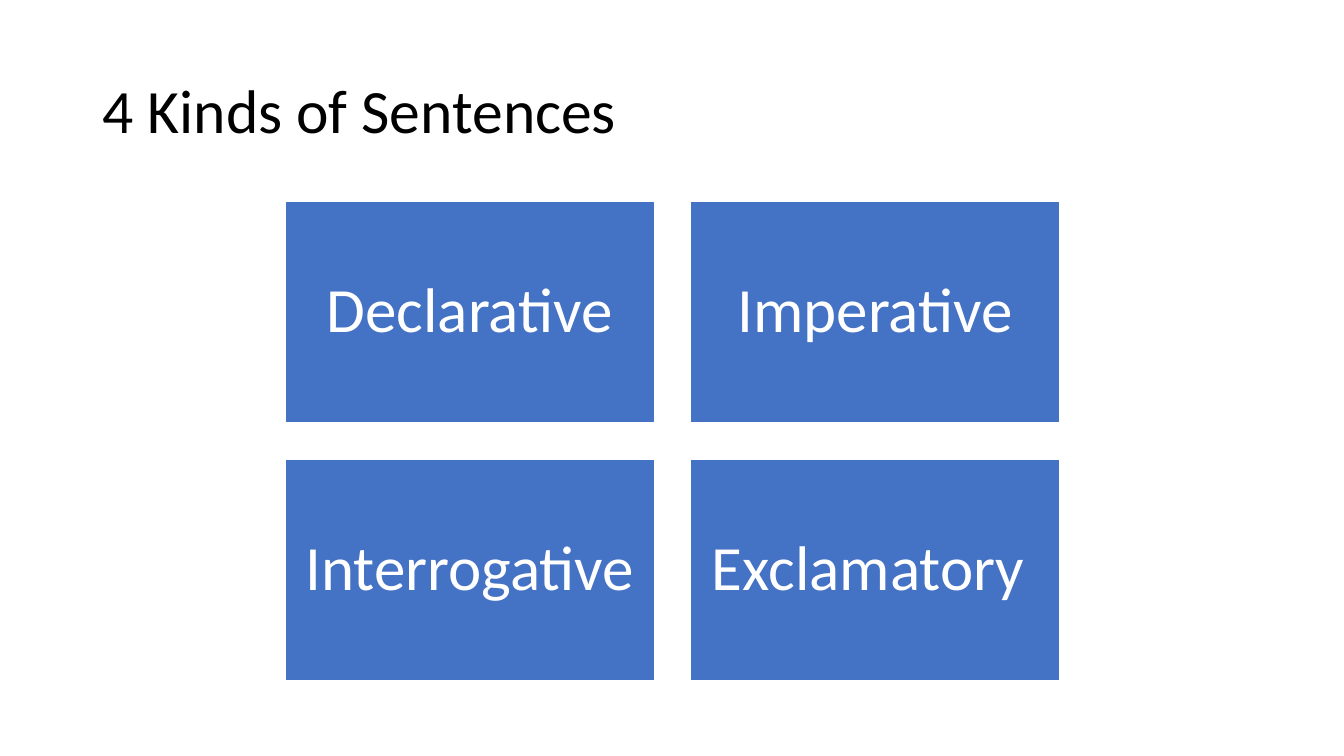
from dataclasses import dataclass

from pptx import Presentation
from pptx.dml.color import RGBColor
from pptx.enum.shapes import MSO_SHAPE
from pptx.enum.text import MSO_ANCHOR, PP_ALIGN
from pptx.util import Inches, Pt

RECTANGLE = MSO_SHAPE.RECTANGLE
MIDDLE = MSO_ANCHOR.MIDDLE
LEFT, CENTER = PP_ALIGN.LEFT, PP_ALIGN.CENTER


@dataclass(frozen=True)
class Theme:
    font: str = "Calibri"
    ink: RGBColor = RGBColor(0x00, 0x00, 0x00)
    paper: RGBColor = RGBColor(0xFF, 0xFF, 0xFF)
    tile: RGBColor = RGBColor(0x44, 0x72, 0xC4)
    title_size: int = 44
    tile_size: int = 45
    outline: int = 1


@dataclass(frozen=True)
class Tile:
    label: str
    column: int
    row: int


THEME = Theme()
COLUMNS = 2
GRID_LEFT, GRID_TOP = 2.83, 2.0
TILE_WIDTH, TILE_HEIGHT = 3.66, 2.19
GAP_X, GAP_Y = 0.36, 0.37
LABELS = ["Declarative", "Imperative", "Interrogative", "Exclamatory "]
TILES = [Tile(label, index % COLUMNS, index // COLUMNS)
         for index, label in enumerate(LABELS)]


def write_text(box, text: str, *, size: int, color: RGBColor,
               align: PP_ALIGN, inset_x: float, inset_y: float) -> None:
    frame = box.text_frame
    frame.word_wrap = True
    frame.vertical_anchor = MIDDLE
    frame.margin_left = frame.margin_right = Inches(inset_x)
    frame.margin_top = frame.margin_bottom = Inches(inset_y)
    para = frame.paragraphs[0]
    para.alignment = align
    para.line_spacing = 0.9
    span = para.add_run()
    span.text = text
    span.font.name = THEME.font
    span.font.size = Pt(size)
    span.font.color.rgb = color


def draw_title(page, text: str) -> None:
    box = page.shapes.add_textbox(Inches(0.92), Inches(0.4), Inches(11.5), Inches(1.45))
    write_text(box, text, size=THEME.title_size, color=THEME.ink,
               align=LEFT, inset_x=0.1, inset_y=0.05)


def draw_tile(page, tile: Tile) -> None:
    box = page.shapes.add_shape(
        RECTANGLE,
        Inches(GRID_LEFT + tile.column * (TILE_WIDTH + GAP_X)),
        Inches(GRID_TOP + tile.row * (TILE_HEIGHT + GAP_Y)),
        Inches(TILE_WIDTH), Inches(TILE_HEIGHT))
    box.shadow.inherit = False
    box.fill.solid()
    box.fill.fore_color.rgb = THEME.tile
    box.line.color.rgb = THEME.paper
    box.line.width = Pt(THEME.outline)
    write_text(box, tile.label, size=THEME.tile_size, color=THEME.paper,
               align=CENTER, inset_x=0.19, inset_y=0.19)


def main() -> None:
    deck = Presentation()
    deck.slide_width, deck.slide_height = Inches(13.33), Inches(7.5)
    page = deck.slides.add_slide(deck.slide_layouts[6])
    draw_title(page, "4 Kinds of Sentences")
    for tile in TILES:
        draw_tile(page, tile)
    deck.save("out.pptx")


if __name__ == "__main__":
    main()
